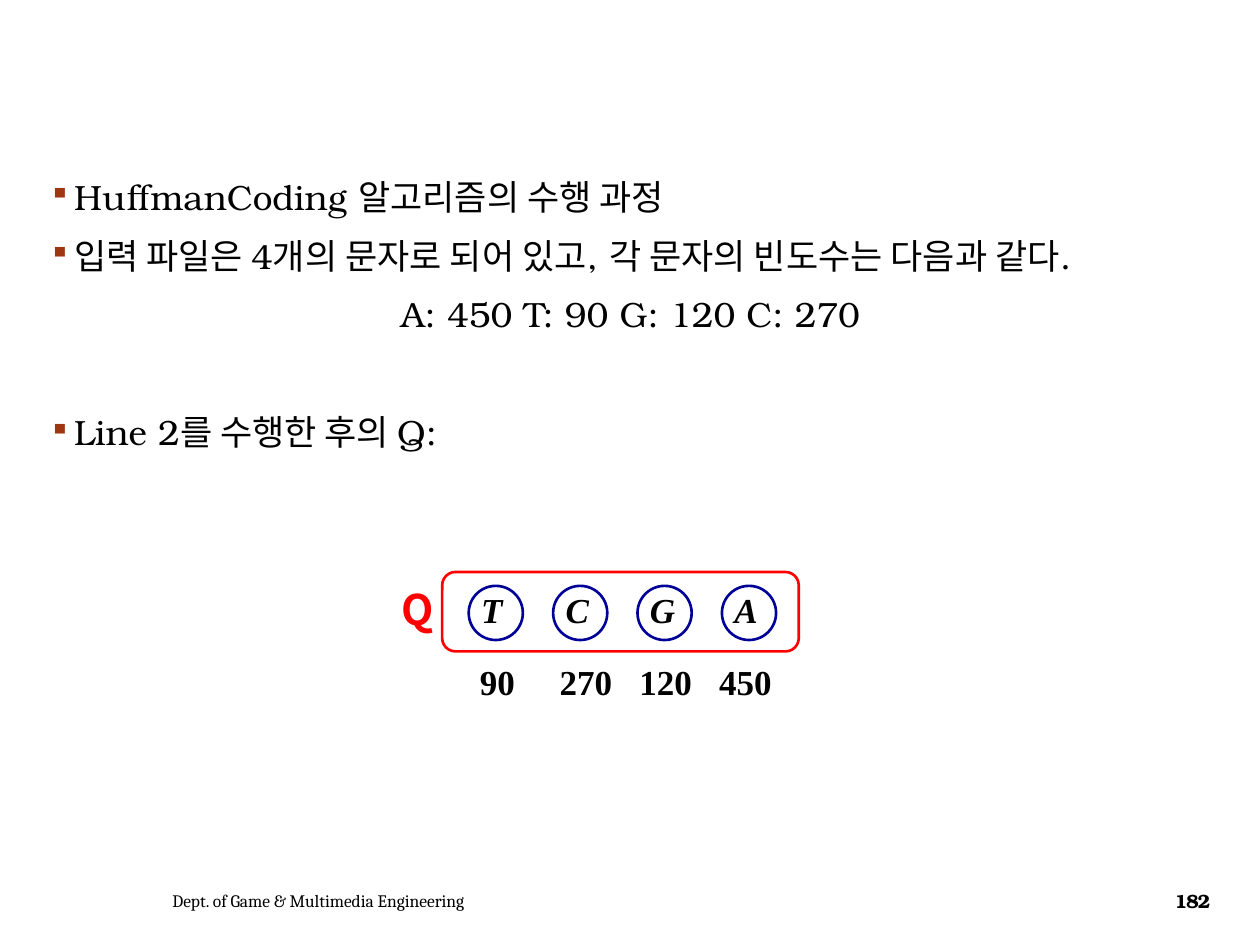
import pptx
import pptx.dml.color
import pptx.enum.shapes
import pptx.enum.text
import pptx.oxml.ns
import pptx.util
from lxml import etree
from pptx.util import Inches

SERIF = "TeX Gyre Bonum"
HANGUL = "Noto Sans CJK KR"
TIMES = "Times New Roman"
CENTER = pptx.enum.text.PP_ALIGN.CENTER
MIDDLE = pptx.enum.text.MSO_ANCHOR.MIDDLE


def color(hex_code):
    return pptx.dml.color.RGBColor.from_string(hex_code)


def add_child(parent, tag, **attributes):
    return etree.SubElement(parent, pptx.oxml.ns.qn(tag), attributes)


def add_run(paragraph, text, size, font, ink="000000", bold=False, italic=False):
    run = paragraph.add_run()
    run.text = text
    run.font.size = pptx.util.Pt(size)
    run.font.name = font
    run.font.bold = bold
    run.font.italic = italic
    run.font.color.rgb = color(ink)
    add_child(run.font._element, "a:ea", typeface=HANGUL)
    return run


def add_text_frame(slide, left, top, width, height, wrap=True):
    box = slide.shapes.add_textbox(
        Inches(left), Inches(top), Inches(width), Inches(height))
    box.text_frame.word_wrap = wrap
    return box.text_frame


def add_label(slide, left, top, width, height, text, size, font, wrap=True, **style):
    frame = add_text_frame(slide, left, top, width, height, wrap)
    add_run(frame.paragraphs[0], text, size, font, **style)
    return frame


def add_outline(slide, preset, left, top, width, height, ink):
    outline = slide.shapes.add_shape(
        preset, Inches(left), Inches(top), Inches(width), Inches(height))
    outline.shadow.inherit = False
    outline.fill.background()
    outline.line.color.rgb = color(ink)
    outline.line.width = pptx.util.Pt(1.5)
    return outline


def add_bullet(paragraph):
    properties = paragraph._p.get_or_add_pPr()
    properties.set("marL", str(Inches(0.2)))
    properties.set("indent", str(Inches(-0.2)))
    bullet_color = add_child(properties, "a:buClr")
    add_child(bullet_color, "a:srgbClr", val="9E3611")
    add_child(properties, "a:buSzPct", val="85000")
    add_child(properties, "a:buChar", char="▪")


def add_explanation(slide, left, top, width, height):
    # text, bulleted, space before in points
    lines = [
        ("HuffmanCoding 알고리즘의 수행 과정", True, 0),
        ("입력 파일은 4개의 문자로 되어 있고, 각 문자의 빈도수는 다음과 같다.", True, 12),
        ("A: 450 T: 90 G: 120 C: 270", False, 12),
        ("Line 2를 수행한 후의 Q:", True, 45.7),
    ]
    frame = add_text_frame(slide, left, top, width, height)
    for index, (text, bulleted, space) in enumerate(lines):
        paragraph = frame.add_paragraph() if index else frame.paragraphs[0]
        if bulleted:
            add_bullet(paragraph)
        else:
            paragraph.alignment = CENTER
        paragraph.line_spacing = 0.9
        paragraph.space_before = pptx.util.Pt(space)
        add_run(paragraph, text, 20, SERIF)


def add_queue(slide, left, top, width, height):
    """Draw the queue frame with its nodes inside and their frequencies below."""
    shapes = pptx.enum.shapes.MSO_SHAPE
    nodes = [("T", "90"), ("C", "270"), ("G", "120"), ("A", "450")]
    for index, (letter, frequency) in enumerate(nodes):
        node_left = left + 0.21 + 0.67 * index
        add_outline(slide, shapes.OVAL, node_left, top + 0.11, 0.43, 0.43, "000099")
        add_label(slide, node_left, top + 0.08, 0.4, 0.44,
                  letter, 20, TIMES, bold=True, italic=True)
        add_label(slide, left + 0.2 + 0.633 * index, top + 0.65,
                  0.2 + 0.14 * len(frequency), 0.44,
                  frequency, 20, TIMES, wrap=False, bold=True)
    add_outline(slide, shapes.ROUNDED_RECTANGLE, left, top, width, height, "FF0000")
    add_label(slide, left - 0.42, top + 0.04, 0.32, 0.51,
              "Q", 24, HANGUL, ink="FF0000", bold=True)


def add_footer(slide, left, top, width, height):
    department = add_label(slide, left, top, 4.59, height,
                           "Dept. of Game & Multimedia Engineering", 10, "Cambria")
    number = add_label(slide, left + width - 0.53, top, 0.53, height,
                       "182", 11, SERIF, bold=True)
    number.paragraphs[0].alignment = CENTER
    number.paragraphs[0].runs[0].font._element.set("spc", "-70")
    for frame in (department, number):
        frame.vertical_anchor = MIDDLE


def main():
    deck = pptx.Presentation()
    deck.slide_width = Inches(10)
    deck.slide_height = Inches(7.5)
    slide = deck.slides.add_slide(deck.slide_layouts[6])
    add_explanation(slide, 0.29, 1.38, 9.43, 5.37)
    add_queue(slide, 3.51, 4.54, 2.83, 0.63)
    add_footer(slide, 1.27, 6.95, 8.46, 0.4)
    deck.save("out.pptx")


if __name__ == "__main__":
    main()
